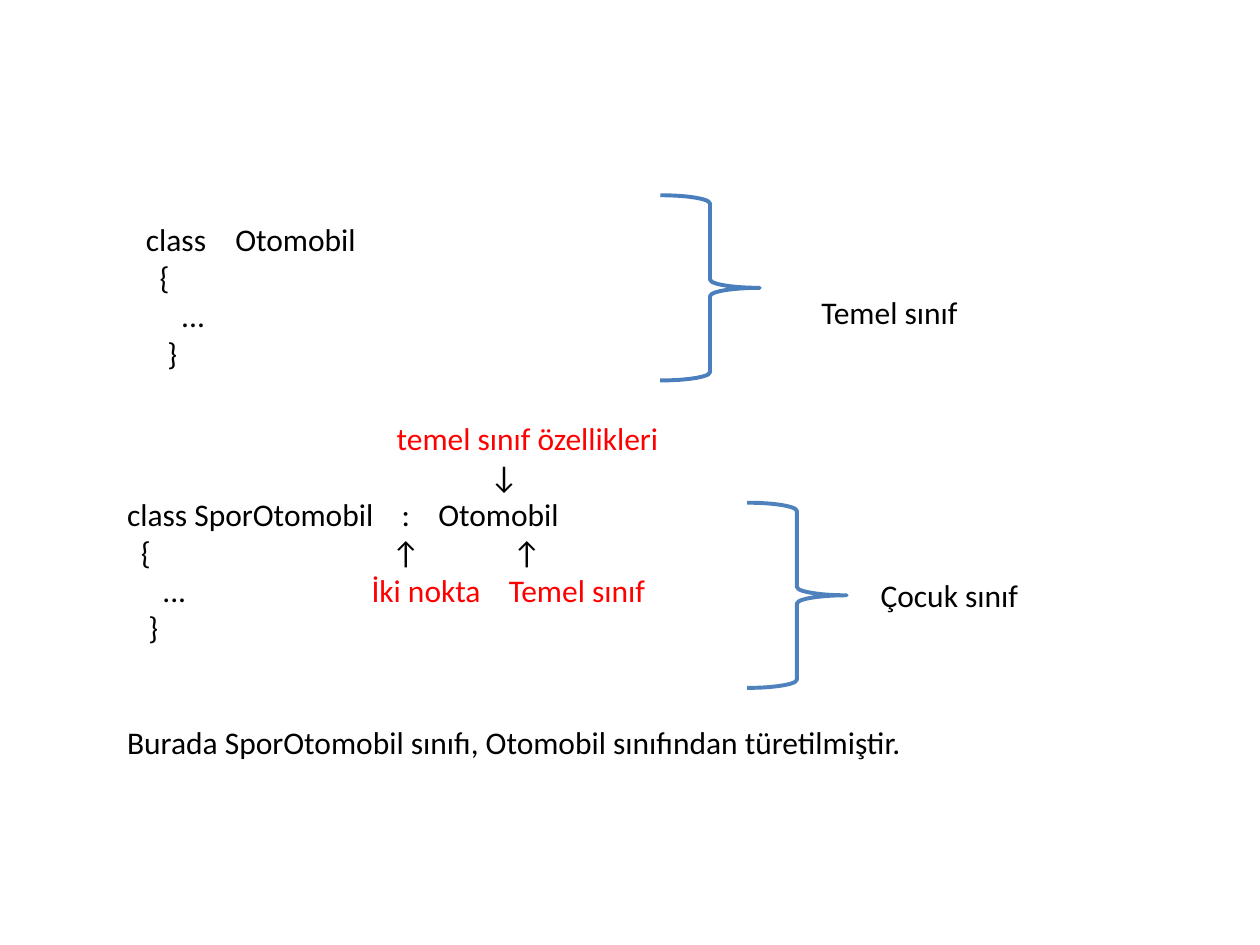
from lxml import etree
from pptx import Presentation
from pptx.dml.color import RGBColor
from pptx.enum.shapes import MSO_SHAPE
from pptx.enum.text import MSO_AUTO_SIZE
from pptx.oxml.ns import qn
from pptx.util import Inches, Pt

RIGHT_BRACE = MSO_SHAPE.RIGHT_BRACE
GROW = MSO_AUTO_SIZE.SHAPE_TO_FIT_TEXT
COLOURS = {"code": "000000", "note": "FF0000", "base": "4B7EBC", "child": "4F81BD"}
BRACE_SIZE = (0.79, 1.47)
OPENING, BODY, CLOSING = 0.11, 0.28, 0.17


class ClassSlide:
    font_format = {"name": "Calibri", "size": Pt(18)}

    def __init__(self, presentation):
        self.slide = presentation.slides.add_slide(presentation.slide_layouts[6])

    def text(self, box, lines, wrap=True):
        frame = self.slide.shapes.add_textbox(*map(Inches, box)).text_frame
        frame.word_wrap = wrap
        frame.auto_size = GROW
        for number, (runs, stops, gap) in enumerate(lines):
            paragraph = frame.add_paragraph() if number else frame.paragraphs[0]
            paragraph.space_before = Pt(gap)
            self.tabs(paragraph, stops)
            for words, colour in runs:
                run = paragraph.add_run()
                run.text = words
                for key, value in self.font_format.items():
                    setattr(run.font, key, value)
                run.font.color.rgb = RGBColor.from_string(COLOURS[colour])

    def tabs(self, paragraph, stops):
        if stops:
            properties = paragraph._p.get_or_add_pPr()
            tab_list = etree.SubElement(properties, qn("a:tabLst"))
            for stop in stops:
                etree.SubElement(tab_list, qn("a:tab"), pos=str(Inches(stop)), algn="l")

    def brace(self, left, top, colour):
        brace = self.slide.shapes.add_shape(
            RIGHT_BRACE, *map(Inches, (left, top, *BRACE_SIZE)))
        brace.shadow.inherit = False
        brace.fill.background()
        brace.line.color.rgb = RGBColor.from_string(COLOURS[colour])
        brace.line.width = Pt(2.25)


def line(words, stops=(), colour="code", gap=0):
    return [(words, colour)], stops, gap


def main():
    presentation = Presentation()
    presentation.slide_width = Inches(10)
    presentation.slide_height = Inches(7.5)
    page = ClassSlide(presentation)

    child_class = [
        line("\ttemel sınıf özellikleri", [2.14], "note"),
        line("\t↓", [2.88]),
        line("class SporOtomobil\t:\tOtomobil", [2.18, 2.47]),
        line("\t{\t↑\t↑", [OPENING, 2.1, 3.06]),
        ([("\t...", "code"), ("\tİki nokta\tTemel sınıf", "note")],
         [BODY, 1.94, 3.03], 0),
        line("\t}", [CLOSING]),
        line("Burada SporOtomobil sınıfı, Otomobil sınıfından türetilmiştir.", gap=44),
    ]
    base_class = [
        line("class\tOtomobil", [0.71]),
        line("\t{", [OPENING]),
        line("\t...", [BODY]),
        line("\t}", [CLOSING]),
    ]
    page.text((0.91, 3.28, 9.29, 2.83), child_class)
    page.text((1.06, 1.7, 3.73, 1.31), base_class)
    page.brace(5.24, 1.55, "base")
    page.text((6.42, 2.28, 1.3, 0.4), [line("Temel sınıf")], wrap=False)
    page.brace(5.93, 3.99, "child")
    page.text((6.89, 4.52, 1.31, 0.4), [line("Çocuk sınıf")], wrap=False)

    presentation.save("out.pptx")


if __name__ == "__main__":
    main()
